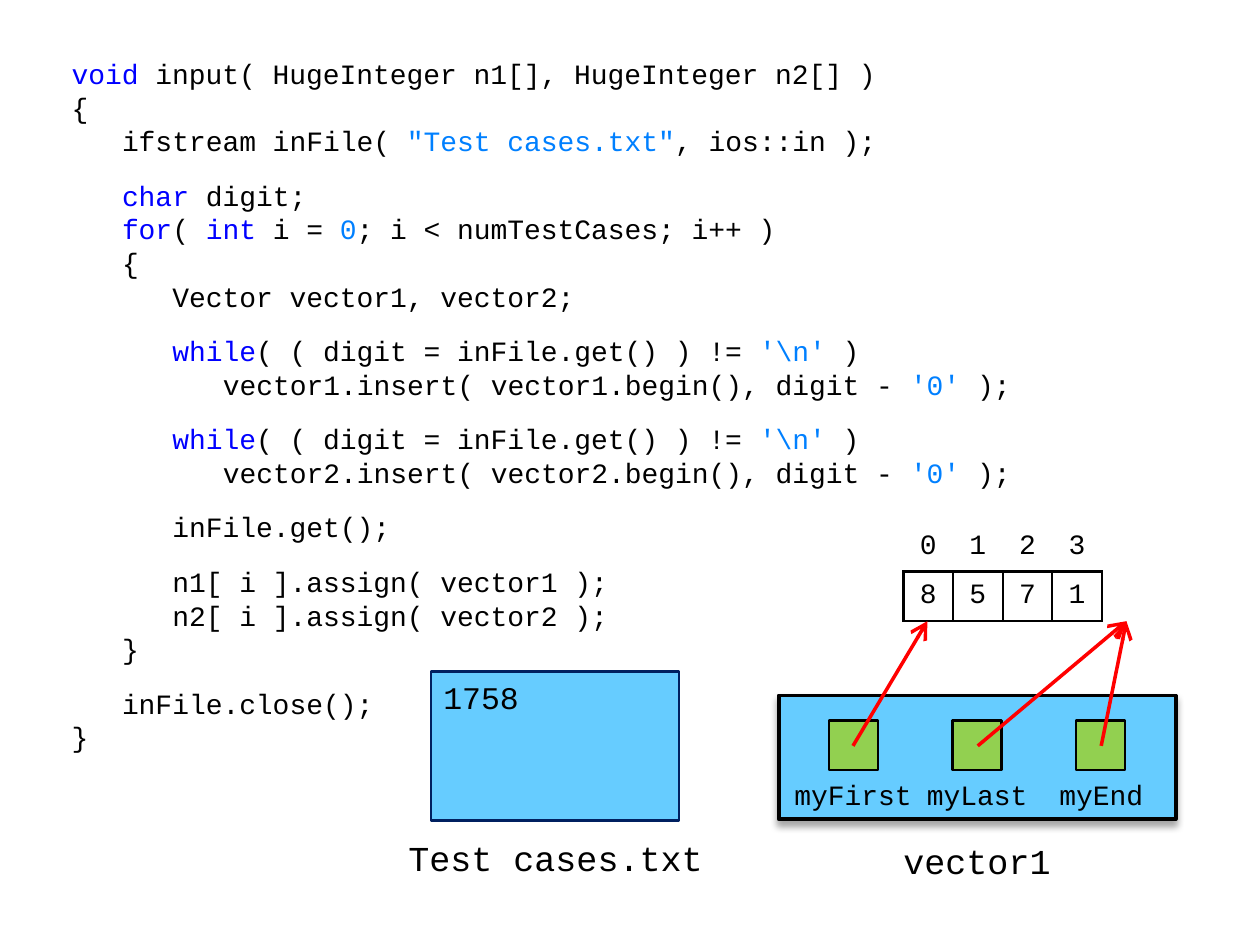
"""Build a slide on reading big integers from a file into a vector."""
from lxml.etree import SubElement
from pptx import Presentation
from pptx.dml.color import RGBColor
from pptx.enum.shapes import MSO_CONNECTOR, MSO_SHAPE
from pptx.enum.text import MSO_ANCHOR, PP_ALIGN
from pptx.oxml import parse_xml
from pptx.oxml.ns import nsdecls, qn
from pptx.util import Inches, Pt

COLORS = {
    "ink": "000000", "key": "0000FF", "value": "0080FF", "sky": "66CCFF",
    "navy": "002060", "green": "92D050", "red": "FF0000",
}
KINDS = {
    "void": "key", "char": "key", "for": "key", "int": "key", "while": "key",
    "0": "value", "'0'": "value", "'\\n'": "value", '"Test cases.txt"': "value",
}


def write(para, text, size, color="ink"):
    run = para.add_run()
    run.text = text
    run.font.name = "Courier New"
    run.font.size = Pt(size)
    run.font.color.rgb = RGBColor.from_string(COLORS[color])


def draw(kind, left, top, width, height, fill=None, line=None, weight=0):
    shape = slide.shapes.add_shape(
        kind, Inches(left), Inches(top), Inches(width), Inches(height))
    shape.shadow.inherit = False
    if fill:
        shape.fill.solid()
        shape.fill.fore_color.rgb = RGBColor.from_string(COLORS[fill])
        shape.line.color.rgb = RGBColor.from_string(COLORS[line])
        shape.line.width = Pt(weight)
    else:
        shape.fill.background()
        shape.line.fill.background()
    return shape


deck = Presentation()
deck.slide_width, deck.slide_height = Inches(10), Inches(7.5)
slide = deck.slides.add_slide(deck.slide_layouts[6])

loops = []
for name in ("vector1", "vector2"):
    loops += [
        (2, 12, ["while", "( ( digit = inFile.get() ) != ", "'\\n'", " )"]),
        (3, 0, [f"{name}.insert( {name}.begin(), digit - ", "'0'", " );"]),
    ]
code = [
    (0, 0, ["void", " input( HugeInteger n1[], HugeInteger n2[] )"]),
    (0, 0, ["{"]),
    (1, 0, ["ifstream inFile( ", '"Test cases.txt"', ", ios::in );"]),
    (1, 12, ["char", " digit;"]),
    (1, 0, ["for", "( ", "int", " i = ", "0", "; i < numTestCases; i++ )"]),
    (1, 0, ["{"]),
    (2, 0, ["Vector vector1, vector2;"]),
    *loops,
    (2, 12, ["inFile.get();"]),
    (2, 12, ["n1[ i ].assign( vector1 );"]),
    (2, 0, ["n2[ i ].assign( vector2 );"]),
    (1, 0, ["}"]),
    (1, 12, ["inFile.close();"]),
    (0, 0, ["}"]),
]
body = slide.shapes.add_textbox(
    Inches(0.47), Inches(0.4), Inches(7.68), Inches(5.71)).text_frame
body.word_wrap = True
for row, (depth, gap, parts) in enumerate(code):
    para = body.add_paragraph() if row else body.paragraphs[0]
    para.space_before = Pt(gap)
    props = para._p.get_or_add_pPr()
    props.set("marL", str(Inches(0.4 * depth)))
    props.set("indent", "0")
    for part in parts:
        write(para, part, 16, KINDS.get(part, "ink"))

page = draw(MSO_SHAPE.RECTANGLE, 3.42, 5.33, 1.97, 1.18, "sky", "navy", 1.5)
page.text_frame.vertical_anchor = MSO_ANCHOR.TOP
para = page.text_frame.paragraphs[0]
para.alignment = PP_ALIGN.LEFT
para.space_before = Pt(3.6)
write(para, "1758", 18)

frame = slide.shapes.add_table(
    2, 4, Inches(7.17), Inches(4.14), Inches(1.57), Inches(0.79))
table = frame.table
table.first_row = table.horz_banding = False
for row, digits in enumerate(("0123", "8571")):
    table.rows[row].height = Inches(0.395)
    for col, digit in enumerate(digits):
        table.columns[col].width = Inches(0.394)
        cell = table.cell(row, col)
        cell.margin_left = cell.margin_right = Inches(0.06)
        cell.margin_top = cell.margin_bottom = Inches(0.04)
        cell.vertical_anchor = MSO_ANCHOR.MIDDLE
        cell.text_frame.paragraphs[0].alignment = PP_ALIGN.CENTER
        write(cell.text_frame.paragraphs[0], digit, 16)
        props = cell._tc.get_or_add_tcPr()
        for side in ("lnL", "lnR", "lnT", "lnB"):
            edge = SubElement(props, qn(f"a:{side}"), w=str(Pt(1.5)))
            if row or side == "lnB":
                fill = SubElement(edge, qn("a:solidFill"))
                SubElement(fill, qn("a:srgbClr"), val=COLORS["ink"])
            else:
                SubElement(edge, qn("a:noFill"))
        cell.fill.background()

box = draw(MSO_SHAPE.FLOWCHART_PROCESS, 6.18, 5.52, 3.15, 0.98, "sky", "ink", 2.25)
box._element.spPr.remove(box._element.spPr.find(qn("a:effectLst")))
box._element.spPr.append(parse_xml(
    f'<a:effectLst {nsdecls("a")}><a:outerShdw blurRad="{Pt(4)}" dist="{Pt(3)}" '
    f'dir="5400000" rotWithShape="0"><a:srgbClr val="{COLORS["ink"]}">'
    '<a:alpha val="35000"/></a:srgbClr></a:outerShdw></a:effectLst>'))

labels = []
for step, name in enumerate(("myFirst", "myLast", "myEnd")):
    draw(MSO_SHAPE.RECTANGLE, 6.58 + 0.98 * step, 5.72, 0.39, 0.39,
         "green", "ink", 1.5)
    label = draw(MSO_SHAPE.FLOWCHART_PROCESS, 6.18 + 0.985 * step, 6.11, 1.18, 0.39)
    labels.append((label, name, 16, 0.05))

for name, left, width, base in (
        ("Test cases.txt", 3.03, 2.76, 0.05), ("vector1", 6.97, 1.57, 0)):
    label = slide.shapes.add_textbox(
        Inches(left), Inches(6.51), Inches(width), Inches(0.59))
    labels.append((label, name, 20, base))

for label, name, size, base in labels:
    text = label.text_frame
    text.word_wrap = True
    text.margin_left = text.margin_right = Inches(0.08)
    text.margin_bottom = Inches(base)
    text.vertical_anchor = MSO_ANCHOR.MIDDLE
    text.paragraphs[0].alignment = PP_ALIGN.CENTER
    write(text.paragraphs[0], name, size)

for start, end in ((8.74, 8.94), (7.76, 8.94), (6.77, 7.36)):
    arrow = slide.shapes.add_connector(
        MSO_CONNECTOR.STRAIGHT, Inches(start), Inches(5.92), Inches(end), Inches(4.93))
    arrow.line.color.rgb = RGBColor.from_string(COLORS["red"])
    arrow.line.width = Pt(2)
    SubElement(arrow.line._get_or_add_ln(), qn("a:tailEnd"),
               type="arrow", w="lg", len="lg")
    SubElement(arrow._element.spPr, qn("a:effectLst"))

deck.save("out.pptx")
